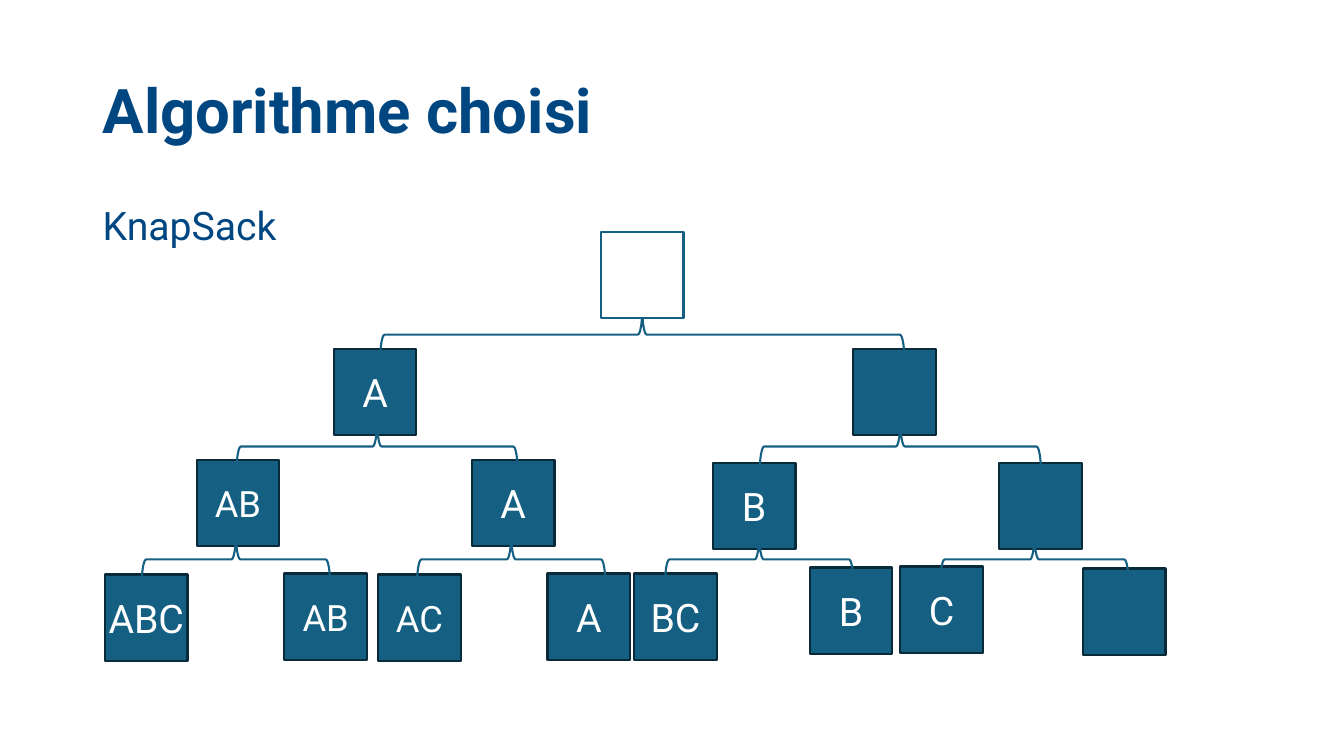
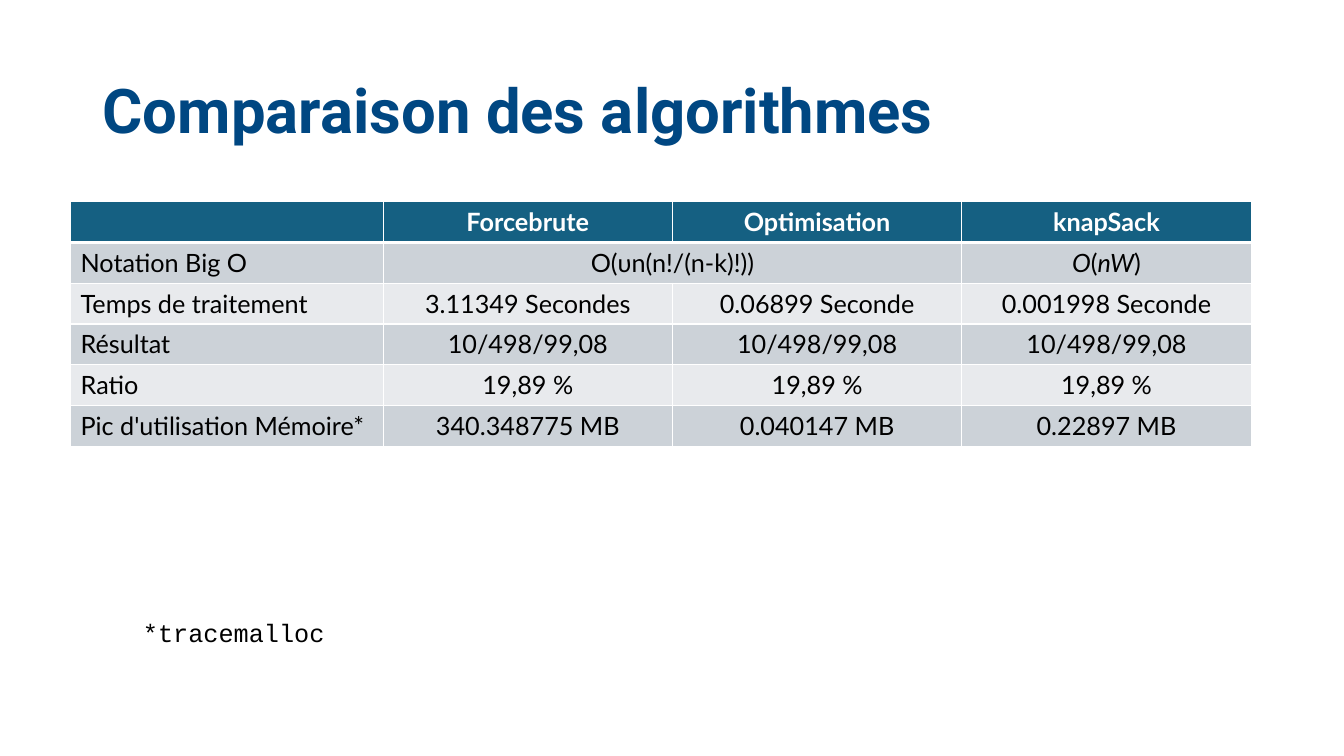
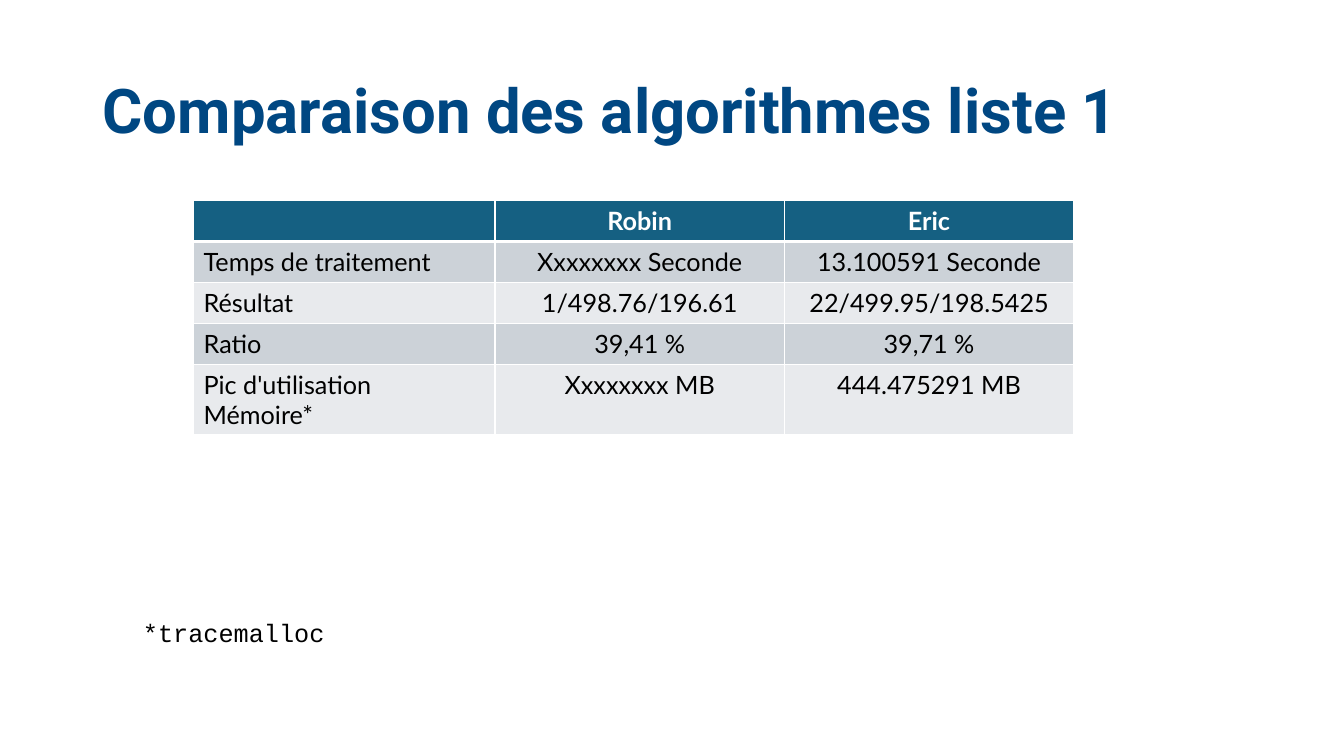
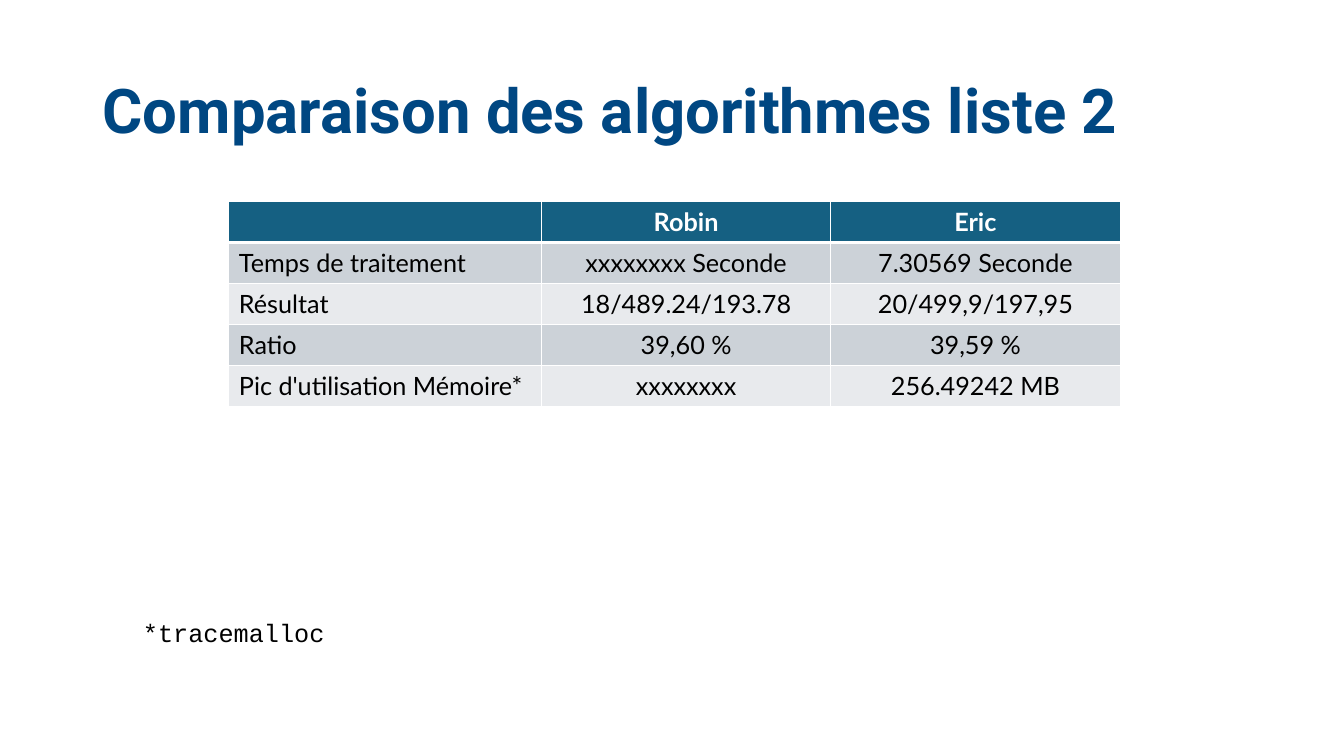
from lxml.etree import SubElement
from pptx import Presentation
from pptx.dml.color import RGBColor
from pptx.enum.shapes import MSO_SHAPE
from pptx.enum.text import MSO_ANCHOR, PP_ALIGN
from pptx.oxml import parse_xml
from pptx.oxml.ns import nsdecls
from pptx.util import Inches, Pt

HEX = {"title": "004782", "teal": "156082", "outline": "092A39",
       "band_dark": "CCD2D8", "band_light": "E8EAED",
       "white": "FFFFFF", "black": "000000"}
COLORS = {name: RGBColor.from_string(value) for name, value in HEX.items()}

prs = Presentation()
prs.slide_width, prs.slide_height = Inches(13.33), Inches(7.5)


def add_text(slide, at, text, font, size, color, bold=False,
             anchor=MSO_ANCHOR.TOP, spacing=0.9):
    tf = slide.shapes.add_textbox(*map(Inches, at)).text_frame
    tf.word_wrap = True
    tf.vertical_anchor = anchor
    p = tf.paragraphs[0]
    p.text = text
    p.line_spacing = spacing
    p.font.name, p.font.size, p.font.bold = font, Pt(size), bold
    p.font.color.rgb = COLORS[color]


def add_titled_slide(title):
    slide = prs.slides.add_slide(prs.slide_layouts[6])
    add_text(slide, (0.92, 0.4, 11.5, 1.45), title, "Roboto", 44, "title",
             bold=True, anchor=MSO_ANCHOR.MIDDLE)
    return slide


# Slide 1: knapsack decision tree
s = add_titled_slide("Algorithme choisi")
add_text(s, (0.92, 2, 11.5, 0.6), "KnapSack", "Roboto", 28, "title")

# Nodes: left, top, label, text size
nodes = [
    (3.31, 3.46, "A", 28), (8.46, 3.46, "", 28),
    (1.95, 4.56, "AB", 25.9), (4.68, 4.56, "A", 28),
    (7.07, 4.59, "B", 28), (9.91, 4.59, "", 28),
    (1.04, 5.7, "ABC", 28), (2.82, 5.69, "AB", 25.9),
    (3.75, 5.7, "AC", 25.9), (5.43, 5.69, "A", 28),
    (6.29, 5.69, "BC", 28), (8.03, 5.63, "B", 28),
    (8.93, 5.62, "C", 28), (10.74, 5.64, "", 28),
    (5.96, 2.3, "", 28),
]
root = nodes[-1]

# Braces: horizontal centre, vertical centre, span
braces = [(6.37, 3.32, 5.2), (3.74, 4.43, 2.79), (8.93, 4.43, 2.79)]
braces += [(x, 5.55, 1.87) for x in (2.34, 7.53, 5.07, 10.26)]
BRACE_DEPTH = 0.53

for node in nodes:
    left, top, label, size = node
    if node is root:  # the braces lie between the other nodes and the root
        for x, y, span in braces:
            sp = s.shapes.add_shape(
                MSO_SHAPE.LEFT_BRACE, Inches(x - BRACE_DEPTH / 2),
                Inches(y - span / 2), Inches(BRACE_DEPTH), Inches(span))
            sp.rotation = 90
            sp.shadow.inherit = False
            sp.fill.background()
            sp.line.color.rgb, sp.line.width = COLORS["teal"], Pt(1.5)
    sp = s.shapes.add_shape(MSO_SHAPE.RECTANGLE, Inches(left), Inches(top),
                            Inches(0.82), Inches(0.86))
    sp.shadow.inherit = False
    sp.fill.solid()
    sp.fill.fore_color.rgb = COLORS["white" if node is root else "teal"]
    sp.line.color.rgb = COLORS["teal" if node is root else "outline"]
    sp.line.width = Pt(1.5)
    if label:
        tf = sp.text_frame
        tf.word_wrap = False
        tf.margin_left = tf.margin_right = 0
        tf.vertical_anchor = MSO_ANCHOR.MIDDLE
        p = tf.paragraphs[0]
        p.text, p.alignment = label, PP_ALIGN.CENTER
        p.font.name, p.font.size = "Roboto", Pt(size)
        p.font.color.rgb = COLORS["white"]

# Slides 2 to 4: comparison tables; underscores enclose italics
TIME, RESULT, RATIO = "Temps de traitement", "Résultat", "Ratio"
MEMORY = "Pic d'utilisation Mémoire*"
comparisons = [
    ("Comparaison des algorithmes", (0.7, 2, 11.72, 2.43), 3.1, [
        ("", "Forcebrute", "Optimisation", "knapSack"),
        ("Notation Big O", "O(υn(n!/(n-k)!))", "", "_O_(_nW_)"),
        (TIME, "3.11349 Secondes", "0.06899 Seconde", "0.001998 Seconde"),
        (RESULT, "10/498/99,08", "10/498/99,08", "10/498/99,08"),
        (RATIO, "19,89 %", "19,89 %", "19,89 %"),
        (MEMORY, "340.348775 MB", "0.040147 MB", "0.22897 MB"),
    ]),
    ("Comparaison des algorithmes liste 1", (1.92, 1.99, 8.74, 2.03), 2.99, [
        ("", "Robin", "Eric"),
        (TIME, "Xxxxxxxx Seconde", "13.100591 Seconde"),
        (RESULT, "1/498.76/196.61", "22/499.95/198.5425"),
        (RATIO, "39,41 %", "39,71 %"),
        (MEMORY, "Xxxxxxxx MB", "444.475291 MB"),
    ]),
    ("Comparaison des algorithmes liste 2", (2.27, 2, 8.85, 2.03), 3.1, [
        ("", "Robin", "Eric"),
        (TIME, "xxxxxxxx Seconde", "7.30569 Seconde"),
        (RESULT, "18/489.24/193.78", "20/499,9/197,95"),
        (RATIO, "39,60 %", "39,59 %"),
        (MEMORY, "xxxxxxxx", "256.49242 MB"),
    ]),
]

for title, at, label_width, rows in comparisons:
    s = add_titled_slide(title)
    table = s.shapes.add_table(len(rows), len(rows[0]),
                               *map(Inches, at)).table
    table.horz_banding = False
    for c, column in enumerate(table.columns):
        column.width = Inches(2.87 if c else label_width)

    for r, row in enumerate(rows):
        header = r == 0
        fill = "teal" if header else "band_dark" if r % 2 else "band_light"
        for c, text in enumerate(row):
            cell = table.cell(r, c)
            cell.fill.solid()
            cell.fill.fore_color.rgb = COLORS[fill]

            # White borders, thicker under the header
            widths = {"L": 1, "R": 1, "T": 3 if r == 1 else 1,
                      "B": 3 if header else 1}
            for i, (side, width) in enumerate(widths.items()):
                ln = parse_xml(f'<a:ln{side} {nsdecls("a")} w="{Pt(width)}"/>')
                solid = SubElement(ln, ln.tag.replace(f"ln{side}", "solidFill"))
                SubElement(solid, solid.tag.replace("solidFill", "srgbClr"),
                           val=HEX["white"])
                cell._tc.get_or_add_tcPr().insert(i, ln)

            p = cell.text_frame.paragraphs[0]
            p.alignment = PP_ALIGN.CENTER if c else PP_ALIGN.LEFT
            p.font.name, p.font.size, p.font.bold = "Lato", Pt(18), header
            p.font.color.rgb = COLORS["white" if header else "black"]
            for i, part in enumerate(text.split("_")):
                if part:
                    run = p.add_run()
                    run.text = part
                    if i % 2:
                        run.font.italic = True
        if "Notation Big O" in row:
            table.cell(r, 1).merge(table.cell(r, 2))

    add_text(s, (1.32, 6.08, 6.67, 0.4), "*tracemalloc", "Courier New", 18,
             "black", spacing=1)

prs.save("out.pptx")
